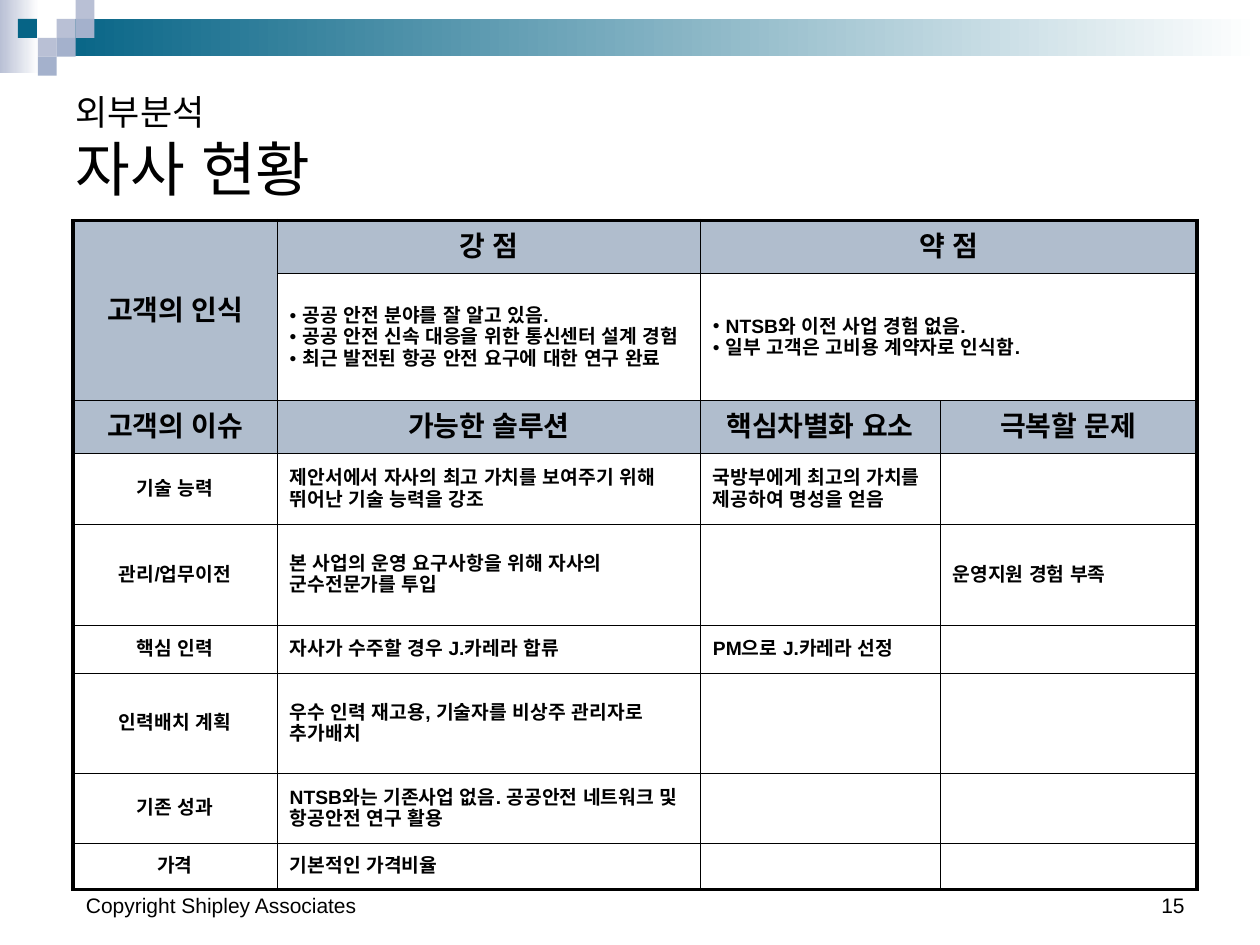
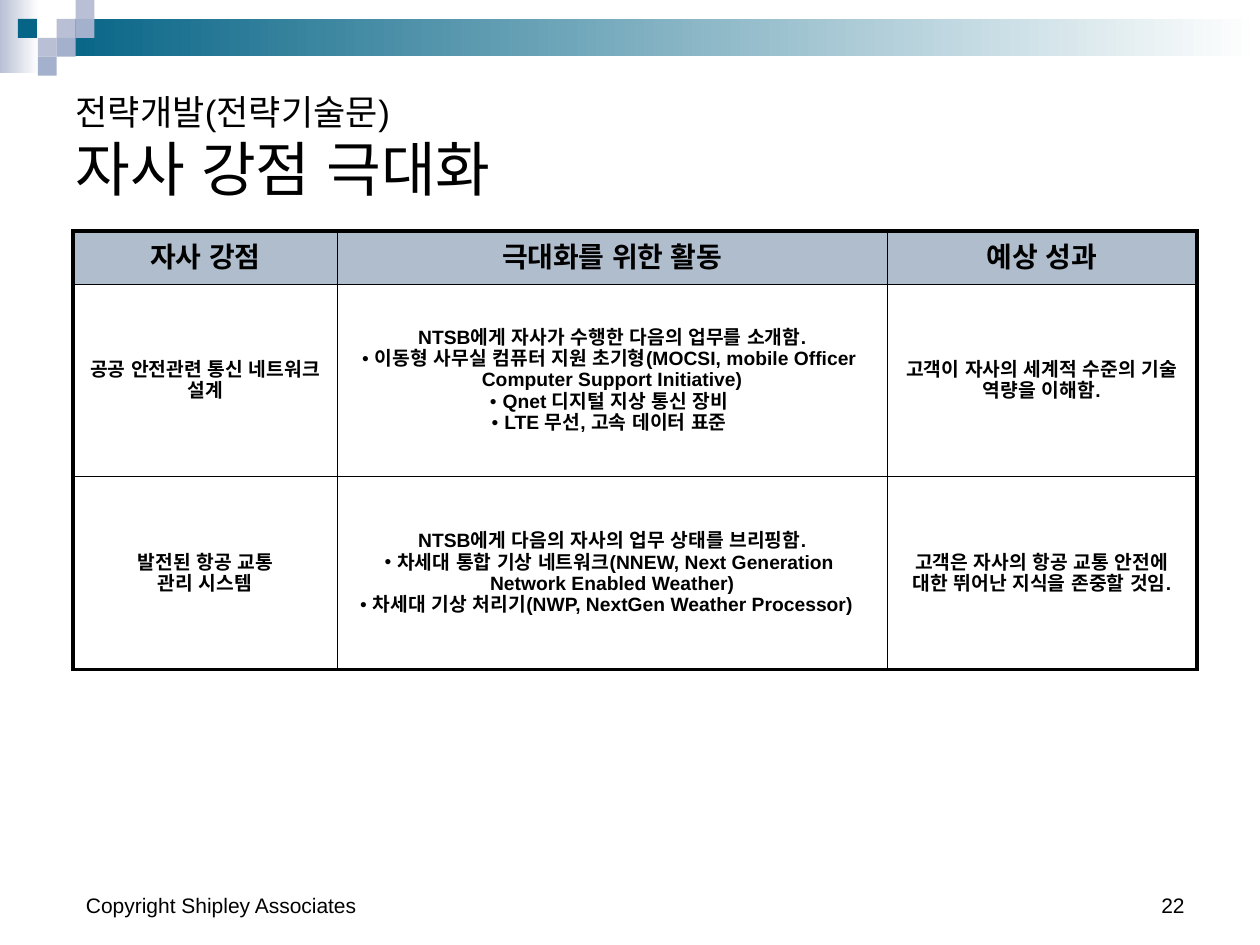
from lxml.etree import SubElement
from pptx import Presentation
from pptx.dml.color import RGBColor
from pptx.enum.shapes import MSO_SHAPE
from pptx.enum.text import MSO_ANCHOR, MSO_AUTO_SIZE, PP_ALIGN
from pptx.oxml.ns import qn
from pptx.util import Emu, Inches, Pt

CELL = Inches(1) / 12
TILE = 1.8
FONT = "Arial"
BLACK, WHITE, HEADER = "000000", "FFFFFF", "B0BDCD"
TEAL, LILAC, BLUE = "066486", "B9C0D5", "A4B1CC"
THICK, THIN = 2.25, 0.25
BULLET = "• "
MOSAIC = [(3, 1, LILAC), (4, 0, LILAC), (4, 1, BLUE), (2, 2, LILAC),
          (0.95, 1, TEAL), (3, 2, BLUE), (2, 3, BLUE)]

STATUS_COLUMNS = [1.62, 3.36, 1.9, 2.04]
STATUS_HEIGHTS = [0.42, 1.01, 0.42, 0.56, 0.8, 0.38, 0.8, 0.55, 0.37]
STATUS_MERGES = [(0, 0, 1, 0), (0, 2, 0, 3), (1, 2, 1, 3)]
STATUS_HEADERS = {(0, 0), (1, 0), (0, 1), (0, 2), (0, 3),
                  (2, 0), (2, 1), (2, 2), (2, 3)}
STATUS_ROWS = [
    ["고객의 인식", "강 점", "약 점", ""],
    ["",
     "• 공공 안전 분야를 잘 알고 있음.\n"
     "• 공공 안전 신속 대응을 위한 통신센터 설계 경험\n"
     "• 최근 발전된 항공 안전 요구에 대한 연구 완료",
     "• NTSB와 이전 사업 경험 없음.\n"
     "• 일부 고객은 고비용 계약자로 인식함.", ""],
    ["고객의 이슈", "가능한 솔루션", "핵심차별화 요소", "극복할 문제"],
    ["기술 능력",
     "제안서에서 자사의 최고 가치를 보여주기 위해 뛰어난 기술 능력을 강조",
     "국방부에게 최고의 가치를 제공하여 명성을 얻음", ""],
    ["관리/업무이전", "본 사업의 운영 요구사항을 위해 자사의 군수전문가를 투입",
     "", "운영지원 경험 부족"],
    ["핵심 인력", "자사가 수주할 경우 J.카레라 합류", "PM으로 J.카레라 선정", ""],
    ["인력배치 계획", "우수 인력 재고용, 기술자를 비상주 관리자로 추가배치", "", ""],
    ["기존 성과",
     "NTSB와는 기존사업 없음. 공공안전 네트워크 및 항공안전 연구 활용", "", ""],
    ["가격", "기본적인 가격비율", "", ""],
]

STRENGTH_COLUMNS = [2.1, 4.36, 2.46]
STRENGTH_HEIGHTS = [0.42, 1.53, 1.53]
STRENGTH_HEADERS = {(0, 0), (0, 1), (0, 2)}
STRENGTH_ROWS = [
    ["자사 강점", "극대화를 위한 활동", "예상 성과"],
    ["공공 안전관련 통신 네트워크 설계",
     "NTSB에게 자사가 수행한 다음의 업무를 소개함.\n"
     "• 이동형 사무실 컴퓨터 지원 초기형(MOCSI, mobile Officer "
     "Computer Support Initiative)\n"
     "• Qnet 디지털 지상 통신 장비\n"
     "• LTE 무선, 고속 데이터 표준",
     "고객이 자사의 세계적 수준의 기술 역량을 이해함."],
    ["발전된 항공 교통\n관리 시스템",
     "NTSB에게 다음의 자사의 업무 상태를 브리핑함.\n"
     "• 차세대 통합 기상 네트워크(NNEW, Next Generation "
     "Network Enabled Weather)\n"
     "• 차세대 기상 처리기(NWP, NextGen Weather Processor) ",
     "고객은 자사의 항공 교통 안전에 대한 뛰어난 지식을 존중할 것임."],
]


def rgb(value):
    """Turn a hex string into a colour."""
    return RGBColor.from_string(value)


def grid(*cells):
    """Turn counts of grid cells into lengths."""
    return [Emu(round(count * CELL)) for count in cells]


def add_run(paragraph, text, size, bold=False):
    """Append one run, in the same font for Latin and Korean letters."""
    run = paragraph.add_run()
    run.text = text
    run.font.name = FONT
    run.font.size = Pt(size)
    run.font.bold = bold
    run.font.color.rgb = rgb(BLACK)
    SubElement(run._r.get_or_add_rPr(), qn("a:ea"), typeface=FONT)


def add_block(slide, left, top, width, height, color, fade=False):
    """Draw a plain rectangle, optionally fading to white."""
    block = slide.shapes.add_shape(MSO_SHAPE.RECTANGLE,
                                   *grid(left, top, width, height))
    block.shadow.inherit = False
    block.line.fill.background()
    if not fade:
        block.fill.solid()
        block.fill.fore_color.rgb = rgb(color)
        return
    block.fill.gradient()
    block.fill.gradient_angle = 0
    for stop, shade in zip(block.fill.gradient_stops, (color, WHITE)):
        stop.color.rgb = rgb(shade)


def add_banner(slide):
    """Draw the fading band and the mosaic at the top."""
    add_block(slide, 0, 0, 3.7, 7, LILAC, fade=True)
    add_block(slide, 3 * TILE, TILE, 120 - 3 * TILE, 3.55, TEAL, fade=True)
    for column, row, color in MOSAIC:
        add_block(slide, column * TILE, row * TILE, TILE, TILE, color)


def add_footer(slide, left, width, text, align):
    """Place one footer text on the bottom line."""
    footer = slide.shapes.add_textbox(*grid(left, 82, width, 6)).text_frame
    footer.word_wrap = True
    footer.vertical_anchor = MSO_ANCHOR.BOTTOM
    footer.paragraphs[0].alignment = align
    add_run(footer.paragraphs[0], text, 12)


def set_title(slide, section, topic):
    """Fill the title with a small section line and a large topic line."""
    title = slide.shapes.title
    title.left, title.top, title.width, title.height = grid(6, 6, 108, 14)
    frame = title.text_frame
    frame.auto_size = MSO_AUTO_SIZE.NONE
    frame.vertical_anchor = MSO_ANCHOR.BOTTOM
    heading = frame.paragraphs[0]
    heading.alignment = PP_ALIGN.LEFT
    add_run(heading, section, 20)
    heading.add_line_break()
    add_run(heading, topic, 34)


def add_slide(deck, section, topic, page):
    """Add a slide with the shared banner, title and footers."""
    slide = deck.slides.add_slide(deck.slide_layouts[5])
    add_banner(slide)
    set_title(slide, section, topic)
    add_footer(slide, 7, 38, "Copyright Shipley Associates", PP_ALIGN.LEFT)
    add_footer(slide, 86, 28, page, PP_ALIGN.RIGHT)
    return slide


def set_borders(cell, outer):
    """Draw thick lines on outer sides of a cell and thin ones elsewhere."""
    properties = cell._tc.get_or_add_tcPr()
    for side in "LRTB":
        width = Pt(THICK if side in outer else THIN)
        line = SubElement(properties, qn(f"a:ln{side}"), w=str(width))
        fill = SubElement(line, qn("a:solidFill"))
        SubElement(fill, qn("a:srgbClr"), val=BLACK)


def set_bullet(paragraph, indent):
    """Give a paragraph a hanging bullet."""
    properties = paragraph._p.get_or_add_pPr()
    properties.set("marL", str(indent))
    properties.set("indent", str(-Inches(0.1)))
    SubElement(properties, qn("a:buFont"), typeface=FONT)
    SubElement(properties, qn("a:buChar"), char=BULLET.strip())


def write_cell(cell, text, is_header, centred):
    """Write the lines of a cell, one paragraph each."""
    cell.vertical_anchor = MSO_ANCHOR.MIDDLE
    cell.fill.solid()
    cell.fill.fore_color.rgb = rgb(HEADER if is_header else WHITE)
    frame = cell.text_frame
    if not text:
        SubElement(frame.paragraphs[0]._p, qn("a:endParaRPr"), sz="1100")
        return
    for number, line in enumerate(text.split("\n")):
        paragraph = frame.add_paragraph() if number else frame.paragraphs[0]
        paragraph.alignment = PP_ALIGN.CENTER if centred else PP_ALIGN.LEFT
        if line.startswith(BULLET):
            set_bullet(paragraph, 0 if centred else Inches(0.1))
        add_run(paragraph, line.removeprefix(BULLET),
                16 if is_header else 11, bold=True)


def add_matrix(slide, top, columns, heights, rows, headers,
               merges=(), all_centred=False):
    """Add a framed table with shaded header cells."""
    left, top = grid(6.95, top)
    table = slide.shapes.add_table(
        len(heights), len(columns), left, top,
        Inches(sum(columns)), Inches(sum(heights))).table
    table.first_row = table.horz_banding = False
    for column, width in zip(table.columns, columns):
        column.width = Inches(width)
    for row, height in zip(table.rows, heights):
        row.height = Inches(height)
    for first_row, first_column, last_row, last_column in merges:
        table.cell(first_row, first_column).merge(
            table.cell(last_row, last_column))
    for r, texts in enumerate(rows):
        for c, text in enumerate(texts):
            cell = table.cell(r, c)
            edges = {"L": c == 0, "T": r == 0,
                     "R": c + cell.span_width == len(columns),
                     "B": r + cell.span_height == len(heights)}
            set_borders(cell, [side for side in edges if edges[side]])
            is_header = (r, c) in headers
            write_cell(cell, text, is_header,
                       all_centred or is_header or c == 0)


def main():
    """Build both slides and save the deck."""
    deck = Presentation()
    deck.slide_width, deck.slide_height = grid(120, 90)
    status = add_slide(deck, "외부분석", "자사 현황", "15")
    add_matrix(status, 21, STATUS_COLUMNS, STATUS_HEIGHTS, STATUS_ROWS,
               STATUS_HEADERS, STATUS_MERGES)
    strengths = add_slide(deck, "전략개발(전략기술문)", "자사 강점 극대화", "22")
    add_matrix(strengths, 22, STRENGTH_COLUMNS, STRENGTH_HEIGHTS,
               STRENGTH_ROWS, STRENGTH_HEADERS, all_centred=True)
    deck.save("out.pptx")


if __name__ == "__main__":
    main()
